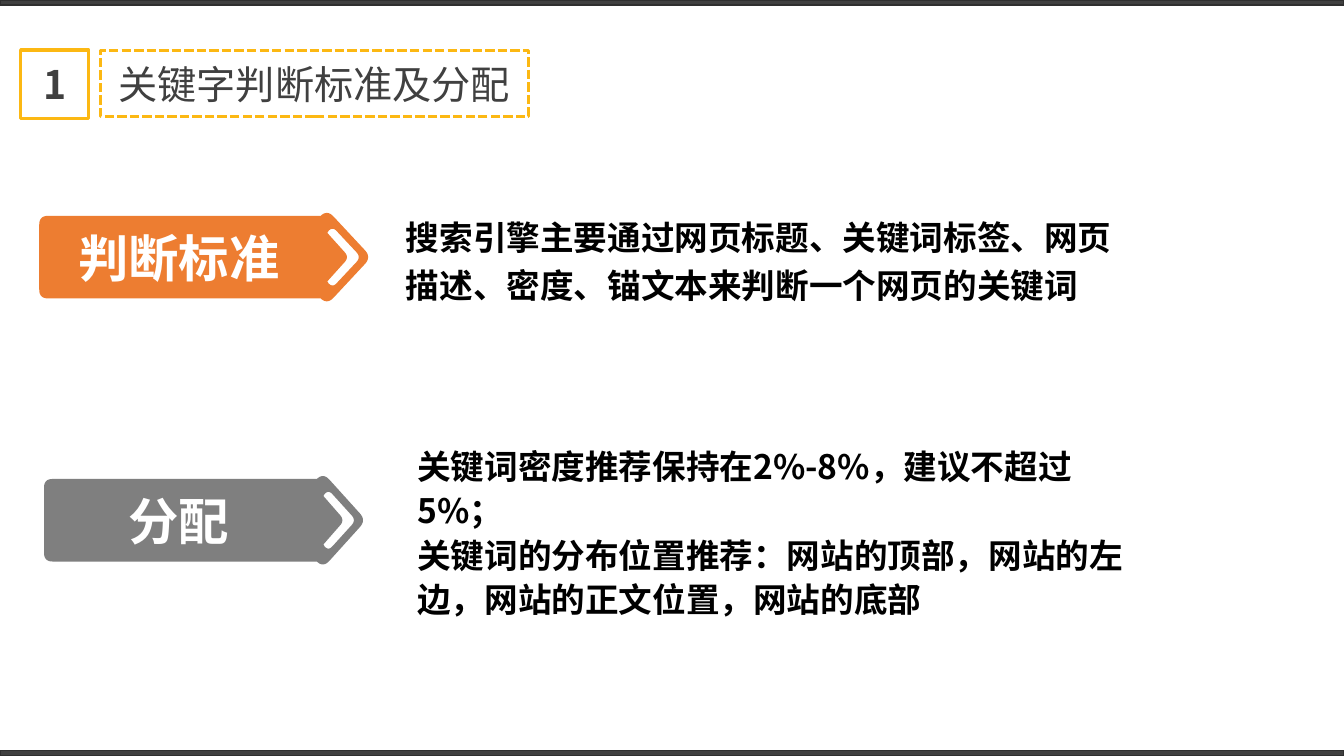
import pptx
import pptx.dml.color
import pptx.enum.dml
import pptx.enum.shapes
import pptx.enum.text
import pptx.oxml
import pptx.oxml.ns
import pptx.util

Cm = pptx.util.Cm
ALIGN = pptx.enum.text.PP_ALIGN
MIDDLE = pptx.enum.text.MSO_ANCHOR.MIDDLE
FONT = "Noto Sans CJK SC"
DARK, YELLOW, WHITE, BLACK = "404040", "FCB813", "FFFFFF", "000000"


def rgb(value):
    return pptx.dml.color.RGBColor.from_string(value)


def write(shape, lines, size, color, bold, align, spacing=1.0, right_inset=0.25):
    frame = shape.text_frame
    frame_format = {
        "word_wrap": True,
        "auto_size": pptx.enum.text.MSO_AUTO_SIZE.NONE,
        "vertical_anchor": MIDDLE,
        "margin_left": Cm(0.25),
        "margin_right": Cm(right_inset),
        "margin_top": Cm(0.13),
        "margin_bottom": Cm(0.13),
    }
    for name, value in frame_format.items():
        setattr(frame, name, value)
    for index, line in enumerate(lines):
        para = frame.add_paragraph() if index else frame.paragraphs[0]
        para.alignment = align
        para.line_spacing = spacing
        span = para.add_run()
        span.text = line
        span.font.color.rgb = rgb(color)
        span_format = {"name": FONT, "size": pptx.util.Pt(size), "bold": bold}
        for name, value in span_format.items():
            setattr(span.font, name, value)
        properties = span.font._element
        properties.set("lang", "zh-CN")
        east_asian = pptx.oxml.parse_xml(
            f'<a:ea {pptx.oxml.ns.nsdecls("a")} typeface="{FONT}"/>'
        )
        properties.find(pptx.oxml.ns.qn("a:latin")).addnext(east_asian)


deck = pptx.Presentation()
deck.slide_width = Cm(33.87)
deck.slide_height = Cm(19.05)
page = deck.slides.add_slide(deck.slide_layouts[5])

title = page.shapes.title
title_place = {"left": 2.72, "top": 1.38, "width": 10.4, "height": 1.45}
for name, value in title_place.items():
    setattr(title, name, Cm(value))
write(title, ["关键字判断标准及分配"], 28, DARK, False, ALIGN.CENTER)
title.text_frame.word_wrap = False

SYS_DASH = pptx.enum.dml.MSO_LINE.SQUARE_DOT
frames = [
    ((2.53, 1.28, 10.8, 1.65), None, YELLOW, 2.25, SYS_DASH, None),
    ((0.52, 1.26, 1.72, 1.72), None, YELLOW, 2.25, None, "1"),
    ((0, 0, 33.87, 0.13), DARK, "2F2F2F", 1, None, None),
    ((0, 18.92, 33.87, 0.13), DARK, "2F2F2F", 1, None, None),
]
for place, fill, line, weight, dash, label in frames:
    box = page.shapes.add_shape(
        pptx.enum.shapes.MSO_SHAPE.RECTANGLE, *[Cm(value) for value in place]
    )
    box.shadow.inherit = False
    if fill:
        box.fill.solid()
        box.fill.fore_color.rgb = rgb(fill)
    else:
        box.fill.background()
    box.line.color.rgb = rgb(line)
    box.line.width = pptx.util.Pt(weight)
    if dash:
        box.line.dash_style = dash
    if label:
        write(box, [label], 28, DARK, True, ALIGN.CENTER)

# Corners are (x from the tip, y from the middle, length of the rounding).
chevron = [
    (-1.02, -0.61, 0), (-0.47, 0, 0.17), (-1.02, 0.61, 0), (-0.99, 0.66, 0),
    (-0.89, 0.77, 0.15), (-0.17, 0, 0.17), (-0.89, -0.77, 0.15), (-0.99, -0.66, 0),
]
STEPS = 8
banners = [
    ("判断标准", 0.99, 9.27, 6.48, 1, "ED7D31"),
    ("分配", 1.11, 9.14, 13.11, 0.97, "7F7F7F"),
]
for label, left, tip, middle, stretch, color in banners:
    start = (left - tip) / stretch
    arrow = [
        (start, -1.04, 0.22), (-1.19, -1.04, 0), (-1.03, -1.2, 0.24), (0.09, 0, 0.24),
        (-1.03, 1.2, 0.24), (-1.19, 1.04, 0), (start, 1.04, 0.22),
    ]
    builder = None
    for corners in (arrow, chevron):
        points = []
        for index, (x, y, cut) in enumerate(corners):
            ends = []
            for near_x, near_y, _ in (corners[index - 1], corners[(index + 1) % len(corners)]):
                share = cut / ((near_x - x) ** 2 + (near_y - y) ** 2) ** 0.5
                ends.append((x + share * (near_x - x), y + share * (near_y - y)))
            for step in range(STEPS + 1 if cut else 1):
                t = step / STEPS
                weights = ((1 - t) ** 2, 2 * t * (1 - t), t ** 2)
                curve = zip(weights, (ends[0], (x, y), ends[1]))
                spots = [(weight * px, weight * py) for weight, (px, py) in curve]
                across, down = map(sum, zip(*spots))
                points.append(((tip + across * stretch) * 1000, (middle + down) * 1000))
        if builder is None:
            builder = page.shapes.build_freeform(*points[0], scale=Cm(0.001))
        else:
            builder.move_to(*points[0])
        builder.add_line_segments(points[1:], close=True)
    banner = builder.convert_to_shape()
    banner.shadow.inherit = False
    banner.fill.solid()
    banner.fill.fore_color.rgb = rgb(color)
    banner.line.fill.background()
    write(banner, [label], 36, WHITE, True, ALIGN.CENTER, right_inset=1.5)

descriptions = [
    ((9.98, 4.7, 18.82, 3.56), 1.2, [
        "搜索引擎主要通过网页标题、关键词标签、网页描述、密度、锚文本来判断一个网页的关键词",
    ]),
    ((10.27, 10.88, 18.82, 4.98), 1.1, [
        "关键词密度推荐保持在2%-8%，建议不超过5%；",
        "关键词的分布位置推荐：网站的顶部，网站的左边，网站的正文位置，网站的底部",
    ]),
]
for place, spacing, lines in descriptions:
    box = page.shapes.add_textbox(*[Cm(value) for value in place])
    write(box, lines, 24, BLACK, True, ALIGN.LEFT, spacing)

deck.save("out.pptx")
